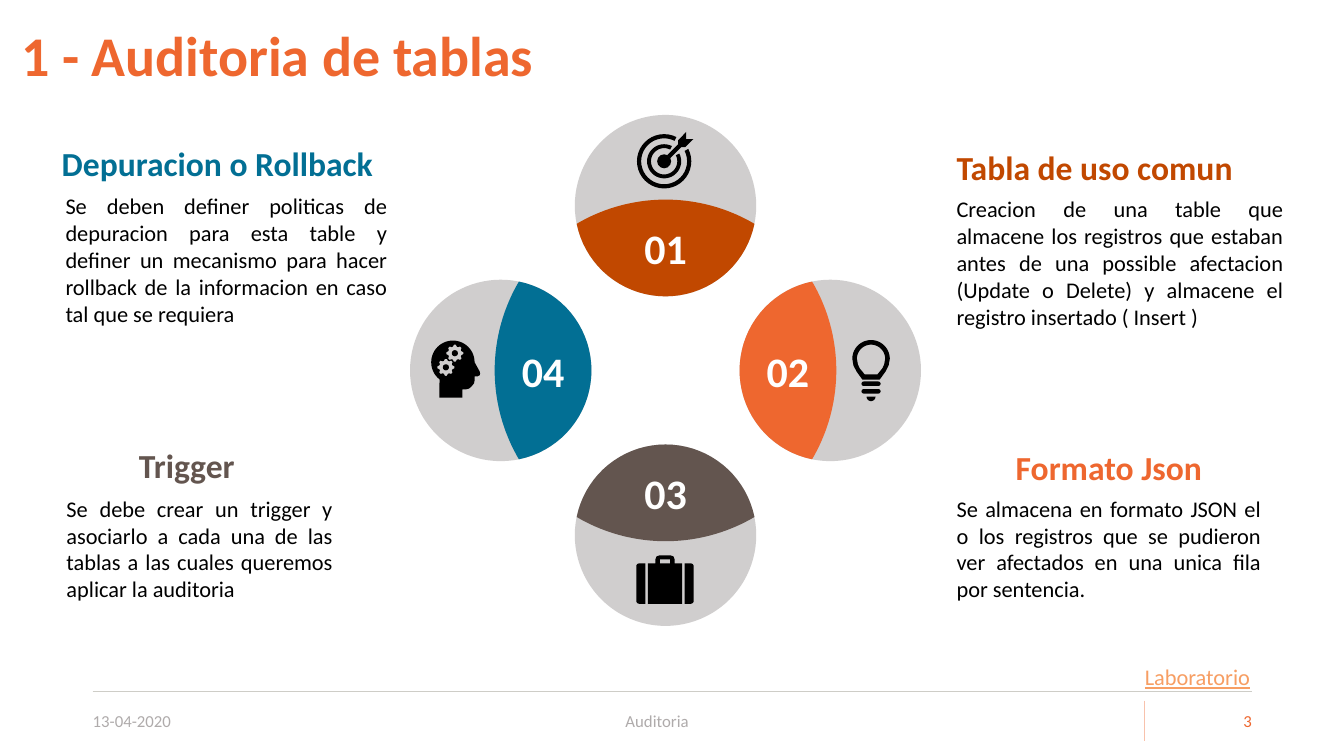
"""Build the four-circle slide about table auditing."""
from math import asin, cos, degrees, radians, sin, sqrt

from lxml import etree
from pptx import Presentation
from pptx import util as u
from pptx.dml.color import RGBColor
from pptx.enum import shapes, text

THEME = {
    "font": "Calibri", "title": 40, "number": 30, "heading": 24, "body": 16, "footer": 12,
    "orange": "EE672F", "rust": "C14800", "brown": "63554F", "teal": "026F94",
    "disc": "D0CECE", "black": "000000", "white": "FFFFFF", "muted": "AFABAB",
    "link": "F79E63", "rule": "CECDC7", "divider": "F8C2AC",
}
CENTRE, OFFSET, RADIUS = (475.4, 264.6), 117.7, 64.8
CHORD, APEX = 13, -4.3

STEPS = [("01", "rust", (0, -1)), ("03", "brown", (0, 1)),
         ("04", "teal", (-1, 0)), ("02", "orange", (1, 0))]

BLOCKS = [
    ("Depuracion o Rollback", "teal", "c", (34.6, 98.6, 248.4), (46.8, 133.9, 236.9, 104.4),
     "Se deben definer politicas de depuracion para esta table y definer un mecanismo "
     "para hacer rollback de la informacion en caso tal que se requiera"),
    ("Trigger ", "brown", "c", (27.4, 313.9, 224.6), (47.5, 349.9, 197.3, 85),
     "Se debe crear un trigger y asociarlo a cada una de las tablas a las cuales "
     "queremos aplicar la auditoria"),
    ("Tabla de uso comun", "rust", "l", (683.3, 101.5, 224.6), (683.3, 136.1, 240.5, 104.4),
     "Creacion de una table que almacene los registros que estaban antes de una possible "
     "afectacion (Update o Delete) y almacene el registro insertado ( Insert )"),
    ("Formato Json", "orange", "c", (683.3, 315.4, 224.6), (683.3, 349.9, 224.6, 85),
     "Se almacena en formato JSON el o los registros que se pudieron ver afectados "
     "en una unica fila por sentencia."),
]
FOOTER = [("13-04-2020", "muted", "l", (66.2, 500.4, 102.2, 28.8), (0, 3.6, 0, 3.6)),
          ("Auditoria", "muted", "c", (208.1, 500.4, 544.3, 28.8), (7.2, 3.6, 28.8, 3.6)),
          ("3", "orange", "r", (825.8, 500.4, 68.4, 28.8), (0, 3.6, 0, 3.6))]
RULES = [((66.2, 493.9), (894.2, 493.9), "rule"), ((817.2, 500.4), (817.2, 529.2), "divider")]

ARROW = [(15.8, -15.8), (15.8, -20.9), (10.1, -15.1), (10.1, -12.2), (2.2, -4.3),
         (4.3, -2.2), (12.2, -10.1), (15.1, -10.1), (20.9, -15.8)]
FACE = [(-9.7, 25.2), (6.8, 25.2), (6.8, 19.4), (9, 19.4), (11.5, 18.8), (13.3, 17.3),
        (15.1, 15), (15.5, 13), (15.5, 10.1), (17.6, 10.1), (19.2, 9.2), (19.4, 8), (19.1, 6.5)]
GEARS = [(1.4, -6.5), (-5, 3.6)]
BULB_SIDE = [(12.6, 4.7), (10.4, 9), (6.8, 14), (6.1, 14.8)]
GLASS_SIDE = [(9.4, 4), (8.1, 6.8), (4.5, 11.2)]
CASE_BODY = [(6.8, -11.5), (12.2, -11.5), (12.2, 17.3), (-12.2, 17.3), (-12.2, -11.5),
             (-6.8, -11.5), (-6.8, -14.6), (-6, -16.6), (-4, -17.3), (4, -17.3),
             (6, -16.6), (6.8, -14.6)]
CASE_HANDLE = [(-3.6, -11.5), (-3.6, -14.4), (3.6, -14.4), (3.6, -11.5)]

ALIGN = {"l": text.PP_ALIGN.LEFT, "c": text.PP_ALIGN.CENTER,
         "r": text.PP_ALIGN.RIGHT, "j": text.PP_ALIGN.JUSTIFY}
ANCHOR = {"t": text.MSO_ANCHOR.TOP, "m": text.MSO_ANCHOR.MIDDLE, "b": text.MSO_ANCHOR.BOTTOM}


def color(name):
    return RGBColor.from_string(THEME[name])


def write(shape, words, size="body", ink="black", bold=False, underline=False, align="l",
          anchor="t", insets=(0, 3.6, 7.2, 3.6), before=0, spacing=None, grow=False):
    frame = shape.text_frame
    frame.word_wrap = True
    frame.auto_size = text.MSO_AUTO_SIZE.SHAPE_TO_FIT_TEXT if grow else text.MSO_AUTO_SIZE.NONE
    frame.vertical_anchor = ANCHOR[anchor]
    frame.margin_left, frame.margin_top, frame.margin_right, frame.margin_bottom = map(u.Pt, insets)
    paragraph = frame.paragraphs[0]
    paragraph.alignment = ALIGN[align]
    paragraph.space_before = u.Pt(before)
    paragraph.line_spacing = spacing
    run = paragraph.add_run()
    run.text = words
    run.font.name, run.font.size = THEME["font"], u.Pt(THEME[size])
    run.font.bold, run.font.underline = bold, underline
    run.font.color.rgb = color(ink)


def box(slide, place, words, **style):
    write(slide.shapes.add_textbox(*map(u.Pt, place)), words, **style)


def paint(shape, fill):
    shape.shadow.inherit = False
    shape.fill.solid()
    shape.fill.fore_color.rgb = color(fill)
    shape.line.fill.background()
    return shape


def preset(slide, kind, place, fill):
    return paint(slide.shapes.add_shape(kind, *map(u.Pt, place)), fill)


def disc(slide, x, y, radius, fill):
    place = (x - radius, y - radius, 2 * radius, 2 * radius)
    return preset(slide, shapes.MSO_SHAPE.OVAL, place, fill)


def outline(slide, origin, contours, fill="black"):
    placed = [[(u.Pt(origin[0] + x), u.Pt(origin[1] + y)) for x, y in points]
              for points in contours]
    builder = slide.shapes.build_freeform(*placed[0][0], scale=1.0)
    for index, points in enumerate(placed):
        if index:
            builder.move_to(*points[0])
        builder.add_line_segments(points[1:], close=True)
    return paint(builder.convert_to_shape(), fill)


def arc(x, y, radius, start, end, steps=36):
    angles = [radians(start + (end - start) * i / steps) for i in range(steps + 1)]
    return [(x + radius * cos(a), y + radius * sin(a)) for a in angles]


def mirror(points):
    return [(-x, y) for x, y in reversed(points)]


def gear(x, y):
    teeth = [(6.1, -7), (6.1, 7), (4.9, 17)]
    return [(x + r * cos(radians(45 * k + a)), y + r * sin(radians(45 * k + a)))
            for k in range(8) for r, a in [(4.9, -17)] + teeth]


def lens(direction):
    half = sqrt(RADIUS ** 2 - CHORD ** 2)
    rise = CHORD - APEX
    big = (half ** 2 + rise ** 2) / (2 * rise)
    wide, narrow = degrees(asin(half / RADIUS)), degrees(asin(half / big))
    rim = arc(0, 0, RADIUS, -wide, wide)
    inner = arc(APEX + big, 0, big, 180 - narrow, 180 + narrow)
    dx, dy = direction
    return [(-dx * a + dy * b, -dy * a - dx * b) for a, b in rim + inner]


def draw_target(slide, x, y):
    for outer, inner in ((19.4, 16.4), (12.2, 9.4)):
        ring = arc(0, 0, outer, -27, 297) + arc(0, 0, inner, 297, -27)
        outline(slide, (x, y), [ring])
    disc(slide, x, y, 5, "black")
    outline(slide, (x, y), [ARROW])


def draw_head(slide, x, y):
    outline(slide, (x, y), [arc(0, 0, 15.5, 0, -232) + FACE] + [gear(*spot) for spot in GEARS])
    for dx, dy in GEARS:
        disc(slide, x + dx, y + dy, 2.2, "black")


def draw_bulb(slide, x, y):
    contours = [arc(0, 0, r, 180, 360) + side + mirror(side)
                for r, side in ((13.4, BULB_SIDE), (10.1, GLASS_SIDE))]
    outline(slide, (x, y), contours)
    for top in (16.2, 21.6):
        bar = preset(slide, shapes.MSO_SHAPE.ROUNDED_RECTANGLE, (x - 6.85, y + top, 13.7, 3.2), "black")
        bar.adjustments[0] = 0.5
    outline(slide, (x, y), [arc(0, 27, 3.2, 0, 180)])


def draw_case(slide, x, y):
    side = arc(-18.4, -9.4, 2.1, 180, 270) + [(-14, -11.5), (-14, 17.3)] + arc(-18.4, 15.2, 2.1, 90, 180)
    for points in (side, mirror(side)):
        outline(slide, (x, y), [points])
    outline(slide, (x, y), [CASE_BODY, CASE_HANDLE])


ICONS = {"01": (draw_target, -1, -31.7), "02": (draw_bulb, 29.1, -8.3),
         "03": (draw_case, -0.4, 31.7), "04": (draw_head, -34.2, -5.8)}


def main():
    presentation = Presentation()
    presentation.slide_width, presentation.slide_height = u.Pt(960), u.Pt(540)
    slide = presentation.slides.add_slide(presentation.slide_layouts[6])

    for start, end, ink in RULES:
        line = slide.shapes.add_connector(shapes.MSO_CONNECTOR.STRAIGHT, *map(u.Pt, start + end))
        line.line.color.rgb, line.line.width = color(ink), u.Pt(0.5)
        namespace = "{http://schemas.openxmlformats.org/drawingml/2006/main}"
        etree.SubElement(line._element.spPr, namespace + "effectLst")
    for words, ink, align, place, insets in FOOTER:
        box(slide, place, words, size="footer", ink=ink, align=align, anchor="m", insets=insets)
    box(slide, (15.1, 11.5, 419.8, 60.5), "1 - Auditoria de tablas", size="title",
        ink="orange", bold=True, anchor="m", spacing=0.9)

    for number, fill, (dx, dy) in STEPS:
        x, y = CENTRE[0] + dx * OFFSET, CENTRE[1] + dy * OFFSET
        disc(slide, x, y, RADIUS, "disc")
        write(outline(slide, (x, y), [lens((dx, dy))], fill), number, size="number", ink="white",
              bold=True, align="c", anchor="m", insets=(2.9, 2.9, 2.9, 2.9))
        draw_icon, right, down = ICONS[number]
        draw_icon(slide, x + right, y + down)

    for heading, ink, align, place, body_place, body in BLOCKS:
        box(slide, place + (36,), heading, size="heading", ink=ink, bold=True, align=align,
            anchor="b", grow=True)
        box(slide, body_place, body, align="j", before=12, grow=True)
    box(slide, (810.7, 470.2, 113, 26.6), "Laboratorio", ink="link", underline=True,
        insets=(7.2, 3.6, 7.2, 3.6), grow=True)
    presentation.save("out.pptx")


if __name__ == "__main__":
    main()
